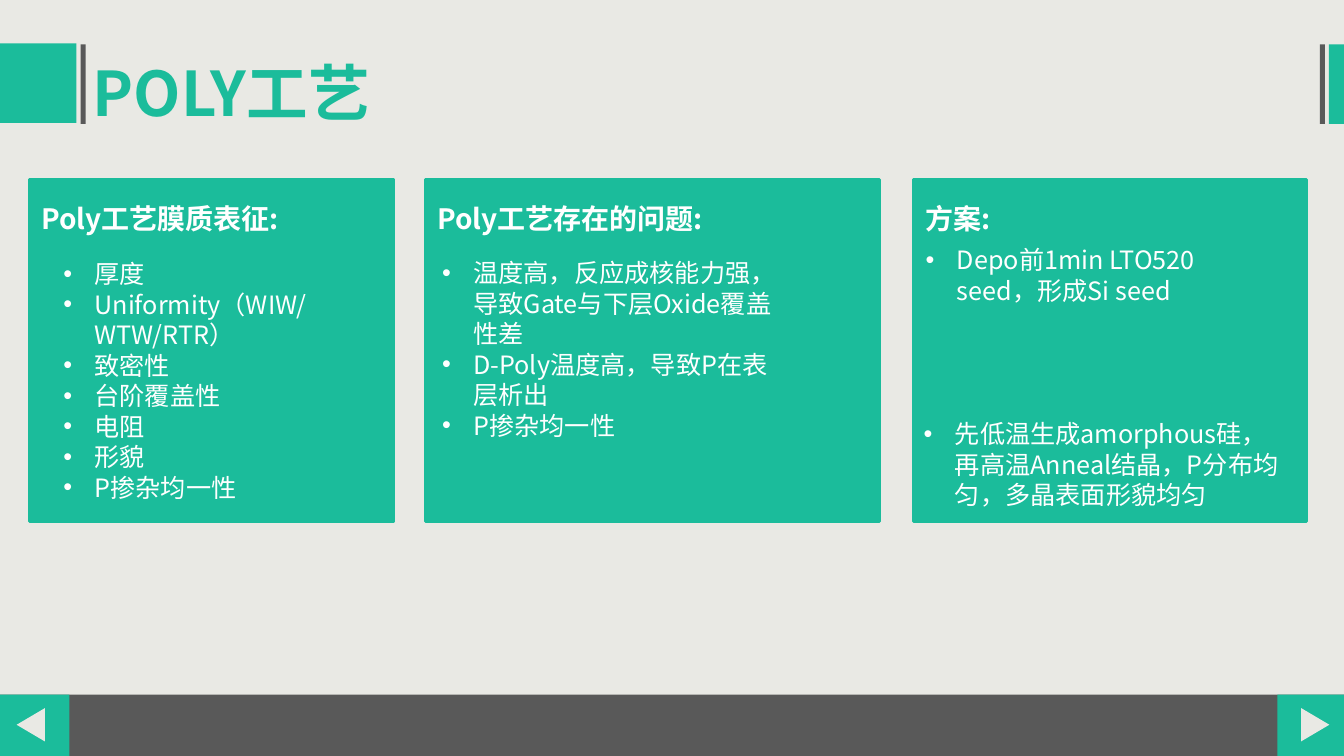
from pptx import Presentation
from pptx.dml.color import RGBColor
from pptx.enum.shapes import MSO_SHAPE as Shape
from pptx.enum.text import MSO_ANCHOR as Anchor, MSO_AUTO_SIZE as AutoSize, PP_ALIGN as Align
from pptx.oxml.ns import qn
from pptx.util import Inches, Pt
from lxml import etree

GREEN = RGBColor(0x1B, 0xBC, 0x9B)
GREY = RGBColor(0x59, 0x59, 0x59)
PAPER = RGBColor(0xE9, 0xE9, 0xE4)
WHITE = RGBColor(0xFF, 0xFF, 0xFF)
FONT = "Noto Sans CJK SC"
HANGING = Inches(0.31)

CARD_TOP, CARD_HEIGHT = 1.78, 3.39
# Each card: left, width, heading
CARDS = [
    (0.29, 3.62, "Poly工艺膜质表征:"),
    (4.22, 4.51, "Poly工艺存在的问题:"),
    (9.07, 3.9, "方案:"),
]
# Each list: left, top, width, height, items
LISTS = [
    (0.53, 2.49, 3.39, 2.83, [
        "厚度", "Uniformity（WIW/WTW/RTR）", "致密性", "台阶覆盖性",
        "电阻", "形貌", "P掺杂均一性"]),
    (4.29, 2.48, 3.48, 1.92, [
        "温度高，反应成核能力强，导致Gate与下层Oxide覆盖性差",
        "D-Poly温度高，导致P在表层析出",
        "P掺杂均一性"]),
    (9.09, 2.35, 3.48, 0.71, ["Depo前1min LTO520 seed，形成Si seed"]),
    (9.07, 4.08, 3.74, 1.01, [
        "先低温生成amorphous硅，再高温Anneal结晶，P分布均匀，多晶表面形貌均匀"]),
]


def add_block(page, left, top, width, height, color, kind=Shape.RECTANGLE,
              rotation=0, outlined=False):
    block = page.shapes.add_shape(
        kind, Inches(left), Inches(top), Inches(width), Inches(height))
    block.shadow.inherit = False
    block.rotation = rotation
    block.fill.solid()
    block.fill.fore_color.rgb = color
    if outlined:
        block.line.color.rgb = color
        block.line.width = Pt(2)
    else:
        block.line.fill.background()


def add_bullet(para):
    properties = para._p.get_or_add_pPr()
    properties.set("marL", str(HANGING))
    properties.set("indent", str(-HANGING))
    etree.SubElement(properties, qn("a:buFont")).set("typeface", "Arial")
    etree.SubElement(properties, qn("a:buChar")).set("char", "•")


def write_text(box, lines, size, color=WHITE, bold=False, bullets=False):
    frame = box.text_frame
    # The top inset balances the tight line spacing on the first line
    layout = {"word_wrap": True, "auto_size": AutoSize.NONE,
              "vertical_anchor": Anchor.TOP, "margin_left": Inches(0.1),
              "margin_right": Inches(0.1), "margin_bottom": Inches(0.05),
              "margin_top": Inches(0.05) + Pt(size * 0.09)}
    for name, value in layout.items():
        setattr(frame, name, value)
    for index, line in enumerate(lines):
        para = frame.add_paragraph() if index else frame.paragraphs[0]
        if bullets:
            add_bullet(para)
        spacing = {"alignment": Align.LEFT, "line_spacing": Pt(size * 1.21),
                   "space_before": Pt(0), "space_after": Pt(0)}
        for name, value in spacing.items():
            setattr(para, name, value)
        span = para.add_run()
        span.text = line
        for name, value in {"name": FONT, "size": Pt(size), "bold": bold}.items():
            setattr(span.font, name, value)
        span.font.color.rgb = color
        east_asian = etree.SubElement(span._r.get_or_add_rPr(), qn("a:ea"))
        east_asian.set("typeface", FONT)


def add_text(page, left, top, width, height, lines, size, **style):
    box = page.shapes.add_textbox(
        Inches(left), Inches(top), Inches(width), Inches(height))
    write_text(box, lines, size, **style)


def add_title(page, text):
    title = page.shapes.title
    place = {"left": 0.82, "top": 0.43, "width": 4.59, "height": 0.84}
    for name, value in place.items():
        setattr(title, name, Inches(value))
    write_text(title, [text], 44, color=GREEN, bold=True)


def add_frame(page):
    # Footer bar with the two arrow buttons
    add_block(page, 0, 6.89, 13.34, 0.61, GREY)
    for left, width, arrow_left, turn in [(0, 0.69, 0.14, 270), (12.68, 0.66, 12.89, 90)]:
        add_block(page, left, 6.89, width, 0.61, GREEN)
        add_block(page, arrow_left, 7.05, 0.33, 0.28, PAPER,
                  Shape.ISOSCELES_TRIANGLE, turn)
    # Accents on both sides of the header
    for left, top, width, color in [(0.8, 0.44, 0.05, GREY), (0, 0.43, 0.76, GREEN),
                                    (13.19, 0.44, 0.15, GREEN), (13.1, 0.44, 0.05, GREY)]:
        add_block(page, left, top, width, 0.79, color)


def main():
    deck = Presentation()
    deck.slide_width, deck.slide_height = Inches(13.34), Inches(7.5)
    page = deck.slides.add_slide(deck.slide_layouts[5])
    page.background.fill.solid()
    page.background.fill.fore_color.rgb = PAPER

    add_frame(page)
    add_title(page, "POLY工艺")

    # Cards with headings, then their bullet lists
    for left, width, heading in CARDS:
        add_block(page, left, CARD_TOP, width, CARD_HEIGHT, GREEN, outlined=True)
        add_text(page, left + 0.02, 1.92, width - 0.1, 0.46, [heading], 20, bold=True)
    for left, top, width, height, items in LISTS:
        add_text(page, left, top, width, height, items, 18, bullets=True)

    deck.save("out.pptx")


if __name__ == "__main__":
    main()
